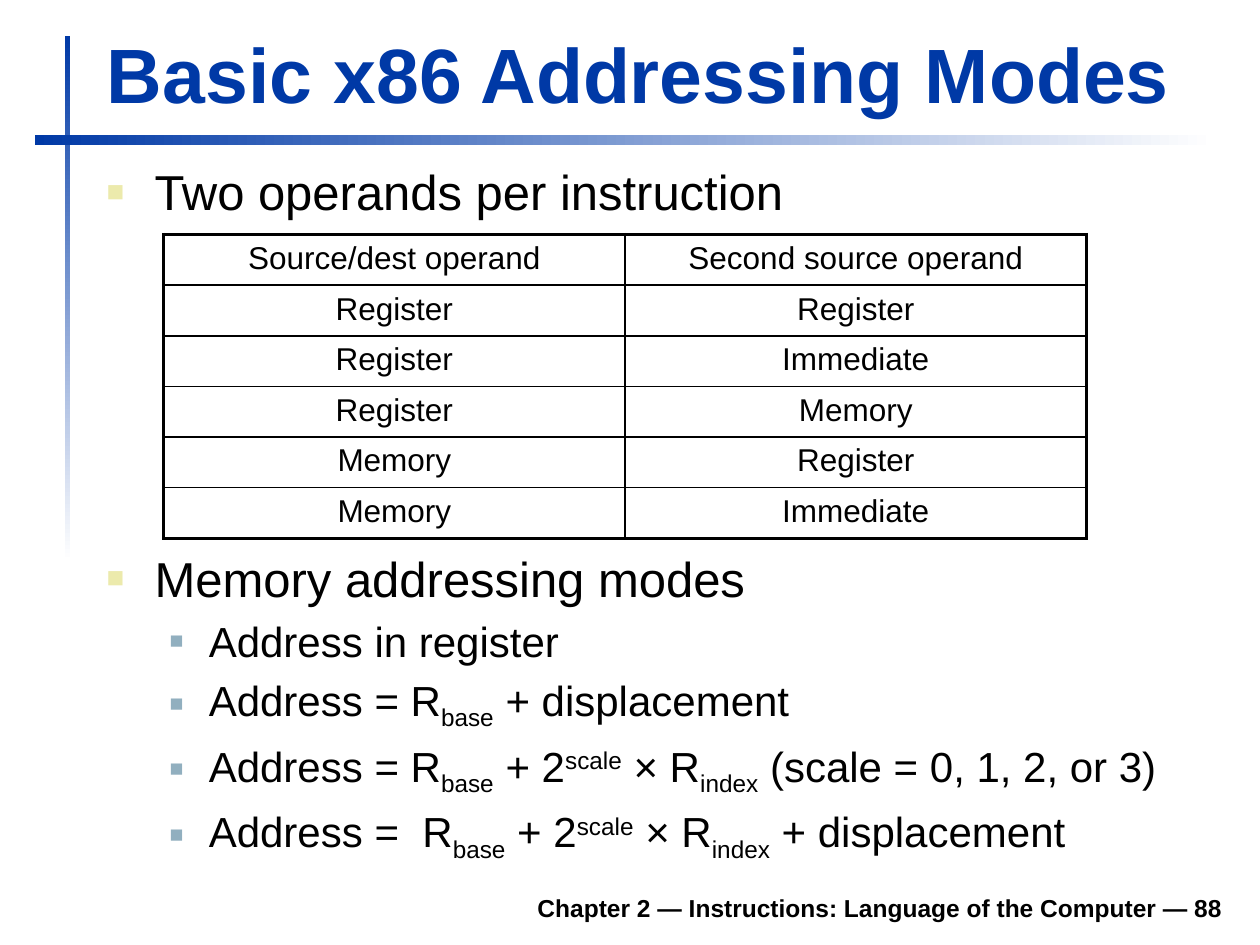
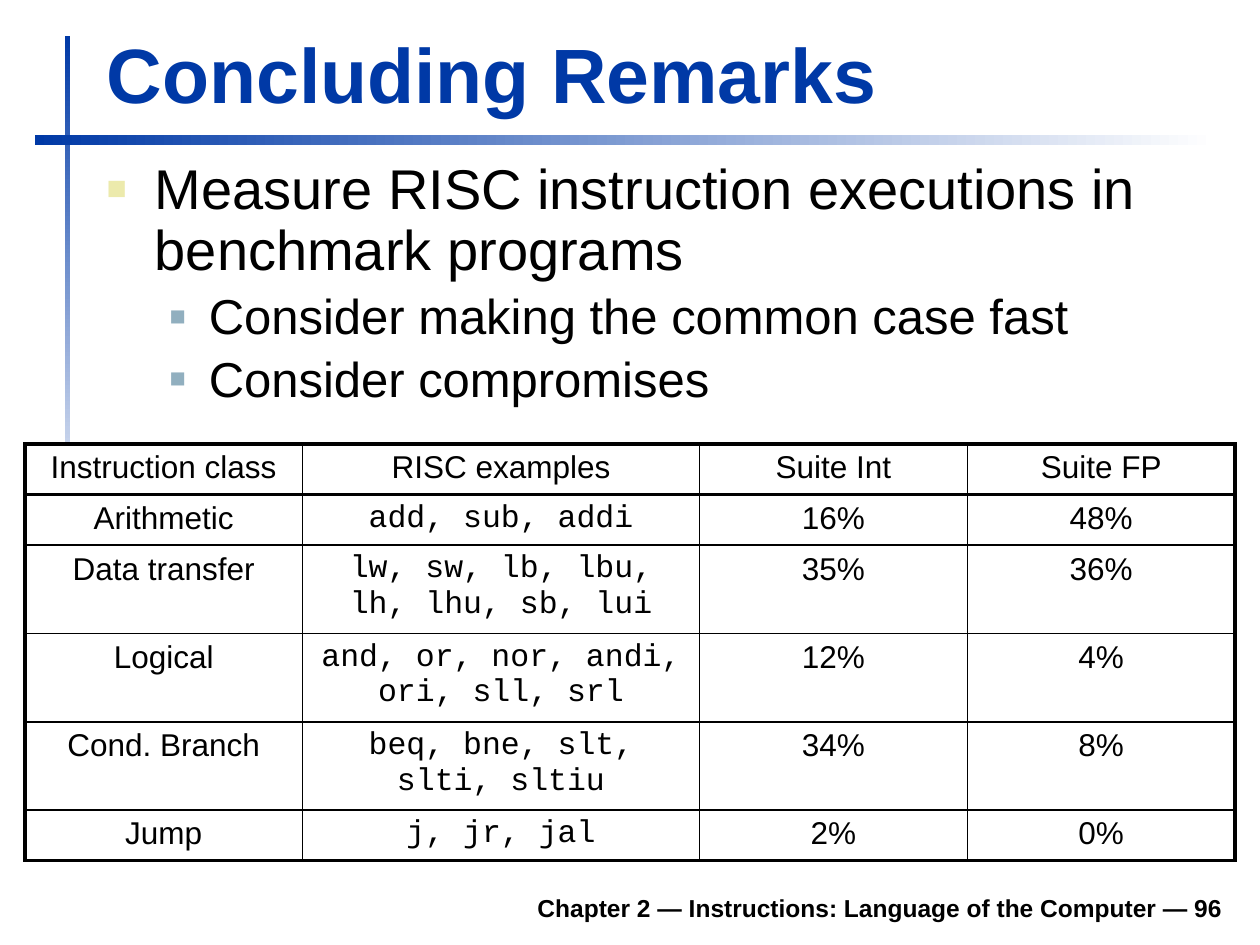
import pptx
import pptx.util
import pptx.oxml
import pptx.oxml.ns
import pptx.dml.color
import pptx.enum.shapes
import pptx.enum.text

Cm, Pt = pptx.util.Cm, pptx.util.Pt
RGB = pptx.dml.color.RGBColor
ALIGN = pptx.enum.text.PP_ALIGN
ANCHOR = pptx.enum.text.MSO_ANCHOR

BLUE = RGB(0x00, 0x39, 0xA6)
CREAM = RGB(0xEC, 0xEA, 0xAC)
STEEL = RGB(0x91, 0xAF, 0xBF)
BLACK = RGB(0, 0, 0)
WHITE = RGB(255, 255, 255)

SANS, MONO = "Arial", "Courier New"
THIN, RULE, THICK = 1, 1.5, 2.25
SHIFTS = {"_": "-25000", "^": "30000"}
# Per level: left margin, hanging indent, bullet colour, bullet size in percent
LEVELS = [(Cm(0.97), Cm(0.97), CREAM, 60), (Cm(2.06), Cm(0.79), STEEL, 55)]


def add_xml(parent, xml):
    names = pptx.oxml.ns.nsdecls("a")
    parent.append(pptx.oxml.parse_xml(xml.replace(">", f" {names}>", 1)))


def space(para):
    """Put a fifth of a line before the paragraph."""
    add_xml(para._p.get_or_add_pPr(),
            '<a:spcBef><a:spcPct val="20000"/></a:spcBef>')


def style(para, size, color=BLACK, bold=False, face=SANS):
    font = para.font
    font.name, font.size, font.bold = face, Pt(size), bold
    font.color.rgb = color


class Deck:
    def __init__(self):
        self.prs = pptx.Presentation()
        self.prs.slide_width = Cm(25.4)
        self.prs.slide_height = Cm(19.05)
        self.slide = None

    def start(self, title, number):
        """Add a slide with its title, two bars and footer."""
        self.slide = self.prs.slides.add_slide(self.prs.slide_layouts[5])
        self.bar(1.31, 0.72, 0.1, 10.6, 270)
        self.bar(0.7, 2.72, 23.8, 0.2, 0)
        self.title(title)
        self.footer(number)

    def bar(self, left, top, width, height, angle):
        bar = self.slide.shapes.add_shape(
            pptx.enum.shapes.MSO_SHAPE.RECTANGLE,
            Cm(left), Cm(top), Cm(width), Cm(height))
        bar.shadow.inherit = False
        bar.line.fill.background()
        bar.fill.gradient()
        bar.fill.gradient_angle = angle
        for stop, color in zip(bar.fill.gradient_stops, (BLUE, WHITE)):
            stop.color.rgb = color

    def title(self, text):
        head = self.slide.shapes.title
        head.left, head.top = Cm(1.9), Cm(0.41)
        head.width, head.height = Cm(22.94), Cm(2.11)
        frame = head.text_frame
        frame.text = text
        frame.auto_size = pptx.enum.text.MSO_AUTO_SIZE.NONE
        frame.vertical_anchor = ANCHOR.BOTTOM
        para = frame.paragraphs[0]
        para.alignment = ALIGN.LEFT
        style(para, 44, BLUE, True)

    def box(self, left, top, width, height):
        frame = self.slide.shapes.add_textbox(
            Cm(left), Cm(top), Cm(width), Cm(height)).text_frame
        frame.word_wrap = True
        return frame

    def footer(self, number):
        frame = self.box(4.7, 17.73, 20.2, 0.99)
        frame.vertical_anchor = ANCHOR.BOTTOM
        para = frame.paragraphs[0]
        para.text = f"Chapter 2 — Instructions: Language of the Computer — {number}"
        para.alignment = ALIGN.RIGHT
        style(para, 14, bold=True)

    def bullets(self, top, height, sizes, items, pitch=None):
        """Write (level, text) items; sizes holds one size per level."""
        frame = self.box(1.9, top, 22.99, height)
        for i, (level, text) in enumerate(items):
            para = frame.paragraphs[0] if i == 0 else frame.add_paragraph()
            para.level = level
            if pitch:
                para.line_spacing = pitch
            self.mark(para, level)
            self.runs(para, text)
            style(para, sizes[level])

    def mark(self, para, level):
        margin, hang, color, size = LEVELS[level]
        props = para._p.get_or_add_pPr()
        props.set("marL", str(margin))
        props.set("indent", str(-hang))
        space(para)
        add_xml(props, f'<a:buClr><a:srgbClr val="{color}"/></a:buClr>')
        add_xml(props, f'<a:buSzPct val="{size}000"></a:buSzPct>')
        add_xml(props, f'<a:buFont typeface="{SANS}"></a:buFont>')
        add_xml(props, '<a:buChar char="■"></a:buChar>')

    def runs(self, para, text):
        """Split text at bars; a part led by _ or ^ is lowered or raised."""
        for part in text.split("|"):
            shift = SHIFTS.get(part[0])
            run = para.add_run()
            run.text = part[1:] if shift else part
            if shift:
                run._r.get_or_add_rPr().set("baseline", shift)

    def table(self, left, top, widths, heights, rows, rule=THIN, code=None):
        """Draw a grid; rule is the line under the head, code the mono column."""
        grid = self.slide.shapes.add_table(
            len(rows), len(widths), Cm(left), Cm(top),
            Cm(sum(widths)), Cm(sum(heights))).table
        grid.first_row = grid.horz_banding = False
        for col, width in zip(grid.columns, widths):
            col.width = Cm(width)
        for row, height in zip(grid.rows, heights):
            row.height = Cm(height)
        across = [THICK, rule] + [THIN] * (len(rows) - 2) + [THICK]
        down = [THICK] + [THIN] * (len(widths) - 1) + [THICK]
        for r, texts in enumerate(rows):
            for c, text in enumerate(texts):
                cell = grid.cell(r, c)
                self.edges(cell, L=down[c], R=down[c + 1],
                           T=across[r], B=across[r + 1])
                cell.fill.solid()
                cell.fill.fore_color.rgb = WHITE
                para = cell.text_frame.paragraphs[0]
                para.text = text
                para.alignment = ALIGN.CENTER
                space(para)
                style(para, 18, face=MONO if r and c == code else SANS)

    def edges(self, cell, **sides):
        props = cell._tc.get_or_add_tcPr()
        for side, width in sides.items():
            add_xml(props, f'<a:ln{side} w="{Pt(width)}"><a:solidFill>'
                    f'<a:srgbClr val="{BLACK}"/></a:solidFill></a:ln{side}>')


def modes(deck):
    deck.start("Basic x86 Addressing Modes", 88)
    deck.bullets(3.13, 1.8, (28, 24), [(0, "Two operands per instruction")])
    deck.table(3.3, 4.73, [9.3] * 2, [1.02] * 6, [
        ("Source/dest operand", "Second source operand"),
        ("Register", "Register"),
        ("Register", "Immediate"),
        ("Register", "Memory"),
        ("Memory", "Register"),
        ("Memory", "Immediate"),
    ])
    scaled = "R|_base| + 2|^scale| × R|_index|"
    deck.bullets(10.93, 6.4, (28, 24), [
        (0, "Memory addressing modes"),
        (1, "Address in register"),
        (1, "Address = R|_base| + displacement"),
        (1, f"Address = {scaled} (scale = 0, 1, 2, or 3)"),
        (1, f"Address =  {scaled} + displacement"),
    ])


def remarks(deck):
    deck.start("Concluding Remarks", 96)
    deck.bullets(3.13, 5.97, (32, 28), [
        (0, "Measure RISC instruction executions in benchmark programs"),
        (1, "Consider making the common case fast"),
        (1, "Consider compromises"),
    ], pitch=0.9)
    low, high = 1.02, 1.78
    deck.table(0.5, 8.95, [5.6, 8, 5.4, 5.4],
               [low, low, high, high, high, low], [
        ("Instruction class", "RISC examples", "Suite Int", "Suite FP"),
        ("Arithmetic", "add, sub, addi", "16%", "48%"),
        ("Data transfer", "lw, sw, lb, lbu, lh, lhu, sb, lui", "35%", "36%"),
        ("Logical", "and, or, nor, andi, ori, sll, srl", "12%", "4%"),
        ("Cond. Branch", "beq, bne, slt, slti, sltiu", "34%", "8%"),
        ("Jump", "j, jr, jal", "2%", "0%"),
    ], rule=RULE, code=1)


def main():
    deck = Deck()
    modes(deck)
    remarks(deck)
    deck.prs.save("out.pptx")


if __name__ == "__main__":
    main()
